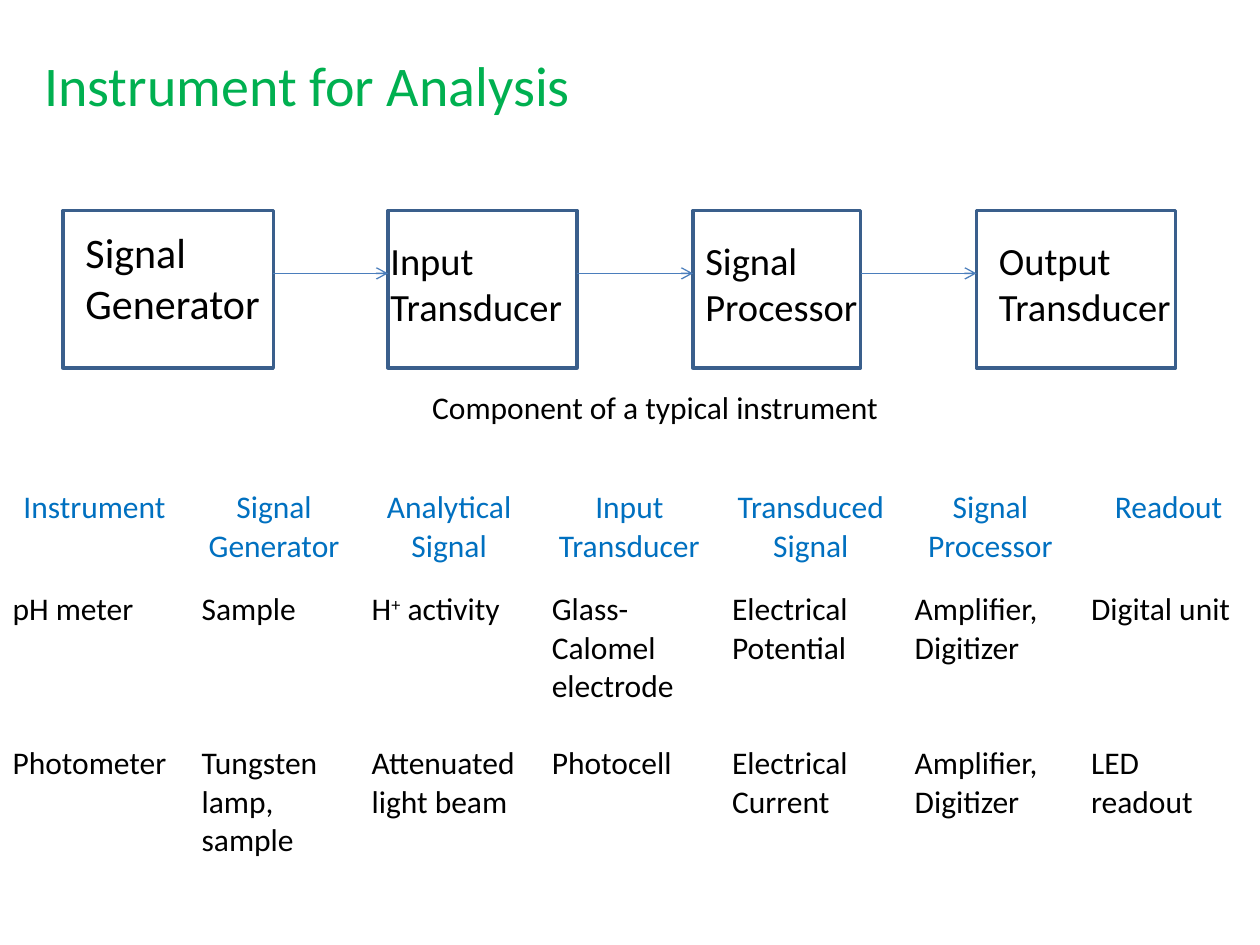
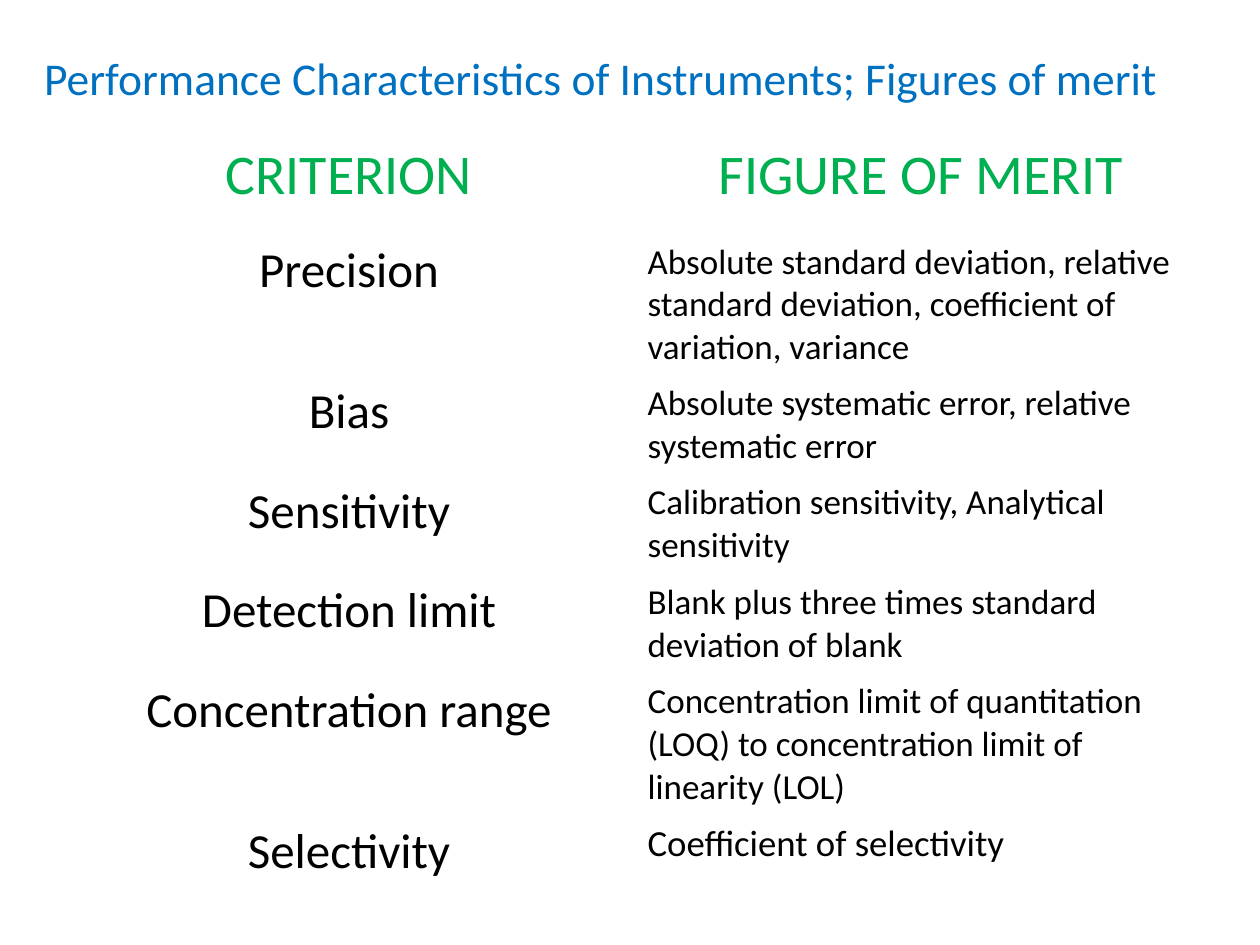
from typing import NamedTuple

from lxml import etree
from pptx import Presentation
from pptx.dml.color import RGBColor
from pptx.enum import shapes, text
from pptx.oxml import ns
from pptx.util import Inches, Pt

FONT = "Calibri"
BLACK, GREEN, BLUE = "000000", "00B050", "0070C0"
BOX_LINE, ARROW_LINE = "3A5F8C", "4B7EBC"
LEFT, CENTER = text.PP_ALIGN.LEFT, text.PP_ALIGN.CENTER
TITLE_ONLY = 5


class Stage(NamedTuple):
    """One block of the signal chain and the place of its label."""
    label: str
    left: float
    width: float
    label_left: float
    label_top: float
    label_width: float
    size: float = 22


class CellStyle(NamedTuple):
    size: float
    color: str = BLACK
    align: text.PP_ALIGN = LEFT


STAGES = [
    Stage("Signal Generator", 0.5, 1.67, 0.58, 1.75, 1.75, 24),
    Stage("Input Transducer", 3.08, 1.5, 3, 1.83, 1.58),
    Stage("Signal Processor", 5.5, 1.33, 5.5, 1.83, 1.42),
    Stage("Output Transducer", 7.75, 1.58, 7.83, 1.83, 1.58),
]
STAGE_TOP, STAGE_HEIGHT, ARROW_Y = 1.67, 1.25, 2.17

# Text between carets is raised.
INSTRUMENTS = [
    ["Instrument", "Signal Generator", "Analytical Signal", "Input Transducer",
     "Transduced Signal", "Signal Processor", "Readout"],
    ["pH meter", "Sample", "H^+^ activity", "Glass-Calomel electrode",
     "Electrical Potential", "Amplifier, Digitizer", "Digital unit"],
    ["Photometer", "Tungsten lamp, sample", "Attenuated light beam", "Photocell",
     "Electrical Current", "Amplifier, Digitizer", "LED readout"],
]

MERITS = [
    ["CRITERION", "FIGURE OF MERIT"],
    ["Precision", "Absolute standard deviation, relative standard deviation, "
                  "coefficient of variation, variance"],
    ["Bias", "Absolute systematic error, relative systematic error"],
    ["Sensitivity", "Calibration sensitivity, Analytical sensitivity"],
    ["Detection limit", "Blank plus three times standard deviation of blank"],
    ["Concentration range", "Concentration limit of quantitation (LOQ) to "
                            "concentration limit of linearity (LOL)"],
    ["Selectivity", "Coefficient of selectivity"],
]


def rgb(color: str) -> RGBColor:
    return RGBColor.from_string(color)


def write(frame, words: str, *, size: float, color: str = BLACK, align=LEFT) -> None:
    """Fill a text frame with one paragraph; caret-enclosed parts are superscript."""
    frame.word_wrap = True
    paragraph = frame.paragraphs[0]
    paragraph.alignment = align
    for index, part in enumerate(words.split("^")):
        run = paragraph.add_run()
        run.text = part
        run.font.name, run.font.size = FONT, Pt(size)
        run.font.color.rgb = rgb(color)
        if index % 2:
            run._r.get_or_add_rPr().set("baseline", "30000")


def add_label(slide, words: str, left: float, top: float, width: float,
              height: float, **style) -> None:
    label = slide.shapes.add_textbox(*map(Inches, (left, top, width, height)))
    write(label.text_frame, words, **style)


def add_titled_slide(deck, words: str, size: float, color: str):
    slide = deck.slides.add_slide(deck.slide_layouts[TITLE_ONLY])
    title = slide.shapes.title
    title.left, title.top, title.width, title.height = map(Inches, (0.25, 0.35, 9.5, 0.7))
    title.text_frame.vertical_anchor = text.MSO_ANCHOR.TOP
    title.text_frame.auto_size = text.MSO_AUTO_SIZE.NONE
    write(title.text_frame, words, size=size, color=color)
    return slide


def add_stage(slide, stage: Stage) -> None:
    box = slide.shapes.add_shape(
        shapes.MSO_SHAPE.RECTANGLE,
        *map(Inches, (stage.left, STAGE_TOP, stage.width, STAGE_HEIGHT)))
    box.shadow.inherit = False
    box.fill.background()
    box.line.color.rgb = rgb(BOX_LINE)
    box.line.width = Pt(2)
    add_label(slide, stage.label, stage.label_left, stage.label_top,
              stage.label_width, 0.84, size=stage.size)


def add_arrow(slide, start: float, end: float) -> None:
    arrow = slide.shapes.add_connector(
        shapes.MSO_CONNECTOR.STRAIGHT, *map(Inches, (start, ARROW_Y, end, ARROW_Y)))
    arrow.line.color.rgb = rgb(ARROW_LINE)
    arrow.line.width = Pt(0.75)
    etree.SubElement(arrow.line._get_or_add_ln(), ns.qn("a:tailEnd"), type="arrow")
    etree.SubElement(arrow._element.spPr, ns.qn("a:effectLst"))


def add_plain_table(slide, rows: list[list[str]], left: float, top: float,
                    widths: list[float], heights: list[float], style_of) -> None:
    """Add a table without fills; style_of(row, column) gives each CellStyle."""
    table = slide.shapes.add_table(
        len(rows), len(widths),
        *map(Inches, (left, top, sum(widths), sum(heights)))).table
    table.first_row = table.horz_banding = False
    for column, width in zip(table.columns, widths):
        column.width = Inches(width)
    for row, height in zip(table.rows, heights):
        row.height = Inches(height)
    for r, row in enumerate(rows):
        for c, words in enumerate(row):
            cell = table.cell(r, c)
            cell.fill.background()
            write(cell.text_frame, words, **style_of(r, c)._asdict())


def instrument_style(row: int, column: int) -> CellStyle:
    return CellStyle(18) if row else CellStyle(18, BLUE, CENTER)


def merit_style(row: int, column: int) -> CellStyle:
    if row == 0:
        return CellStyle(32, GREEN, CENTER)
    if column == 0:
        return CellStyle(28, align=CENTER)
    return CellStyle(21 if row == len(MERITS) - 1 else 20)


def build_instrument_slide(deck) -> None:
    slide = add_titled_slide(deck, "Instrument for Analysis", 32, GREEN)
    for stage in STAGES:
        add_stage(slide, stage)
    for before, after in zip(STAGES, STAGES[1:]):
        add_arrow(slide, before.left + before.width, after.left)
    add_label(slide, "Component of a typical instrument", 3.2, 3.03, 4, 0.4,
              size=18, align=CENTER)
    add_plain_table(slide, INSTRUMENTS, 0, 3.83,
                    [1.5, 1.35, 1.43, 1.43, 1.45, 1.4, 1.43],
                    [0.81, 1.22, 1.22], instrument_style)


def build_merit_slide(deck) -> None:
    slide = add_titled_slide(
        deck, "Performance Characteristics of Instruments; Figures of merit", 26, BLUE)
    add_plain_table(slide, MERITS, 0.5, 1.07, [4.54] * 2, [0.79] * len(MERITS),
                    merit_style)


def main() -> None:
    deck = Presentation()
    deck.slide_width, deck.slide_height = Inches(10), Inches(7.5)
    build_instrument_slide(deck)
    build_merit_slide(deck)
    deck.save("out.pptx")


if __name__ == "__main__":
    main()
